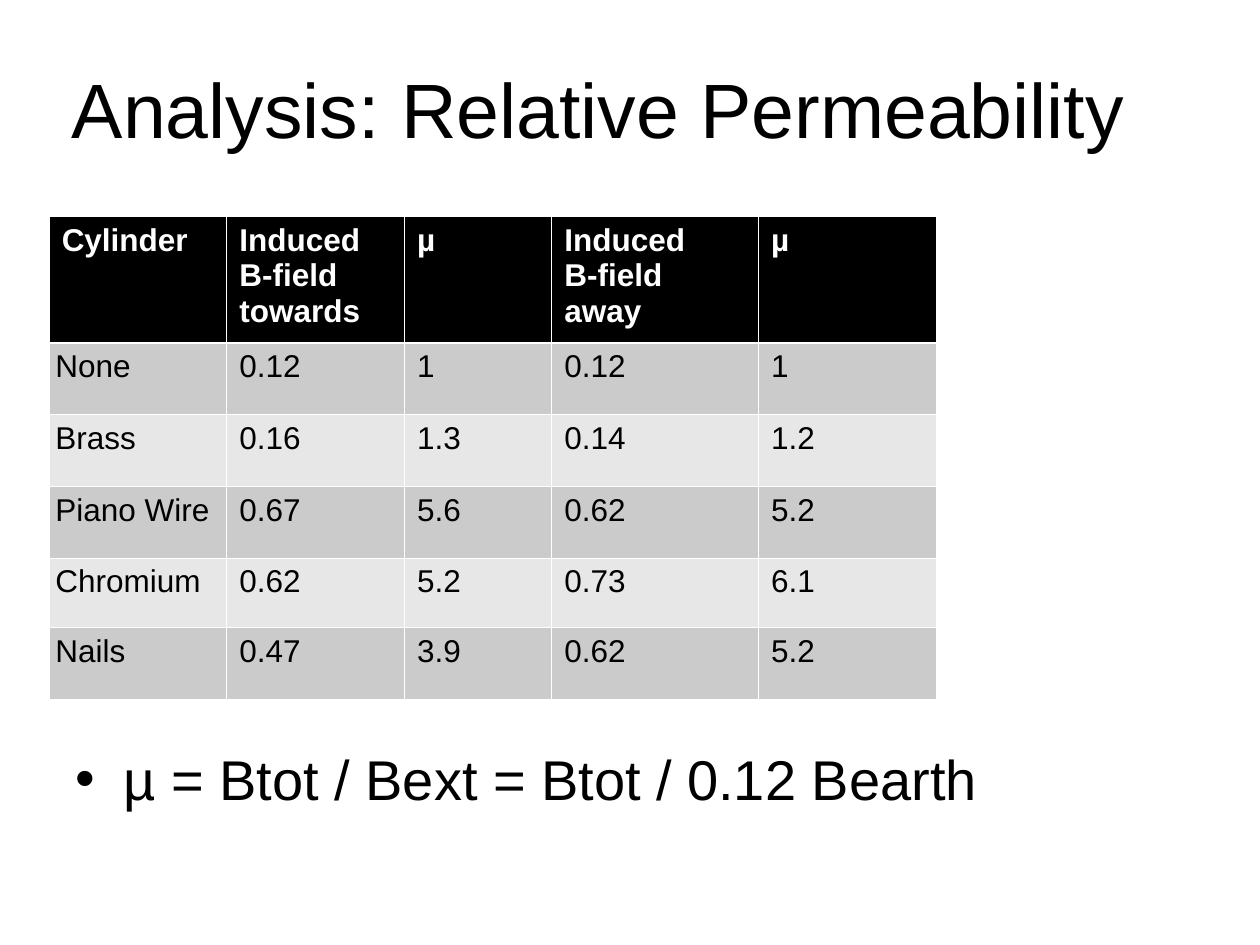
from lxml import etree
from pptx import Presentation
from pptx.dml.color import RGBColor
from pptx.enum.text import MSO_ANCHOR, MSO_AUTO_SIZE, PP_ALIGN
from pptx.oxml.ns import qn
from pptx.util import Inches, Pt

LEFT = PP_ALIGN.LEFT
TOP, MIDDLE = MSO_ANCHOR.TOP, MSO_ANCHOR.MIDDLE
NO_FIT = MSO_AUTO_SIZE.NONE

FONT = "Arial"
COLORS = {
    "text": "000000",
    "header": "000000",
    "header_text": "FFFFFF",
    "dark_band": "CBCBCB",
    "light_band": "E7E7E7",
    "border": "FFFFFF",
}

COLUMN_WIDTHS = [1.41, 1.41, 1.17, 1.64, 1.41]
ROW_HEIGHTS = [1, 0.57, 0.57, 0.57, 0.55, 0.57]
ROWS = [
    ["Cylinder", "Induced B-field towards", "µ", "Induced\nB-field away", "µ"],
    ["None", "0.12", "1", "0.12", "1"],
    ["Brass", "0.16", "1.3", "0.14", "1.2"],
    ["Piano Wire", "0.67", "5.6", "0.62", "5.2"],
    ["Chromium", "0.62", "5.2", "0.73", "6.1"],
    ["Nails", "0.47", "3.9", "0.62", "5.2"],
]
THIN, THICK = 0.45, 1.47


def add_span(para, text, size, color="text", bold=False):
    para.alignment = LEFT
    span = para.add_run()
    span.text = text
    span.font.name = FONT
    span.font.size = Pt(size)
    span.font.bold = bold
    span.font.color.rgb = RGBColor.from_string(COLORS[color])


def place(shape, box, anchor):
    """Move a placeholder into the box and fix how its text sits."""
    shape.left, shape.top, shape.width, shape.height = map(Inches, box)
    frame = shape.text_frame
    frame.word_wrap = True
    frame.auto_size = NO_FIT
    frame.vertical_anchor = anchor
    return frame.paragraphs[0]


def fill_title(page, box):
    para = place(page.shapes.title, box, MIDDLE)
    add_span(para, "Analysis: Relative Permeability", 44)


def fill_formula(page, box):
    para = place(page.placeholders[1], box, TOP)
    properties = para._p.get_or_add_pPr()
    properties.set("marL", str(Inches(0.38)))
    properties.set("indent", str(Inches(-0.38)))
    bullet_color = etree.SubElement(properties, qn("a:buClr"))
    etree.SubElement(bullet_color, qn("a:srgbClr"), val=COLORS["text"])
    etree.SubElement(properties, qn("a:buFont"), typeface=FONT)
    etree.SubElement(properties, qn("a:buChar"), char="•")
    para.space_before = Pt(0)
    add_span(para, "µ = Btot / Bext = Btot / 0.12 Bearth", 32)


def set_borders(cell, row):
    """Draw thin lines round a cell, with a thick one below the header."""
    widths = {
        "L": THIN,
        "R": THIN,
        "T": THICK if row == 1 else THIN,
        "B": THICK if row == 0 else THIN,
    }
    properties = cell._tc.get_or_add_tcPr()
    for side, width in widths.items():
        line = etree.SubElement(properties, qn(f"a:ln{side}"), w=str(Pt(width)))
        fill = etree.SubElement(line, qn("a:solidFill"))
        etree.SubElement(fill, qn("a:srgbClr"), val=COLORS["border"])


def fill_cell(cell, text, row, column):
    is_header = row == 0
    band = "header" if is_header else "dark_band" if row % 2 else "light_band"
    side_margin = 0.05 if column == 0 and not is_header else 0.1
    cell.margin_left = cell.margin_right = Inches(side_margin)
    cell.margin_top = cell.margin_bottom = Inches(0.05)
    cell.vertical_anchor = TOP
    set_borders(cell, row)
    cell.fill.solid()
    cell.fill.fore_color.rgb = RGBColor.from_string(COLORS[band])
    frame = cell.text_frame
    for index, line in enumerate(text.split("\n")):
        para = frame.add_paragraph() if index else frame.paragraphs[0]
        add_span(para, line, 18, "header_text" if is_header else "text", is_header)


def add_permeability_table(page, box):
    frame = page.shapes.add_table(len(ROWS), len(COLUMN_WIDTHS), *map(Inches, box))
    table = frame.table
    for column, width in zip(table.columns, COLUMN_WIDTHS):
        column.width = Inches(width)
    for row, height in zip(table.rows, ROW_HEIGHTS):
        row.height = Inches(height)
    for row, texts in enumerate(ROWS):
        for column, text in enumerate(texts):
            fill_cell(table.cell(row, column), text, row, column)


def main():
    deck = Presentation()
    deck.slide_width, deck.slide_height = Inches(10), Inches(7.5)
    page = deck.slides.add_slide(deck.slide_layouts[1])
    fill_title(page, (0.47, 0.23, 9, 1.25))
    fill_formula(page, (0.5, 5.86, 9, 1.15))
    add_permeability_table(page, (0.39, 1.72, sum(COLUMN_WIDTHS), sum(ROW_HEIGHTS)))
    deck.save("out.pptx")


if __name__ == "__main__":
    main()
